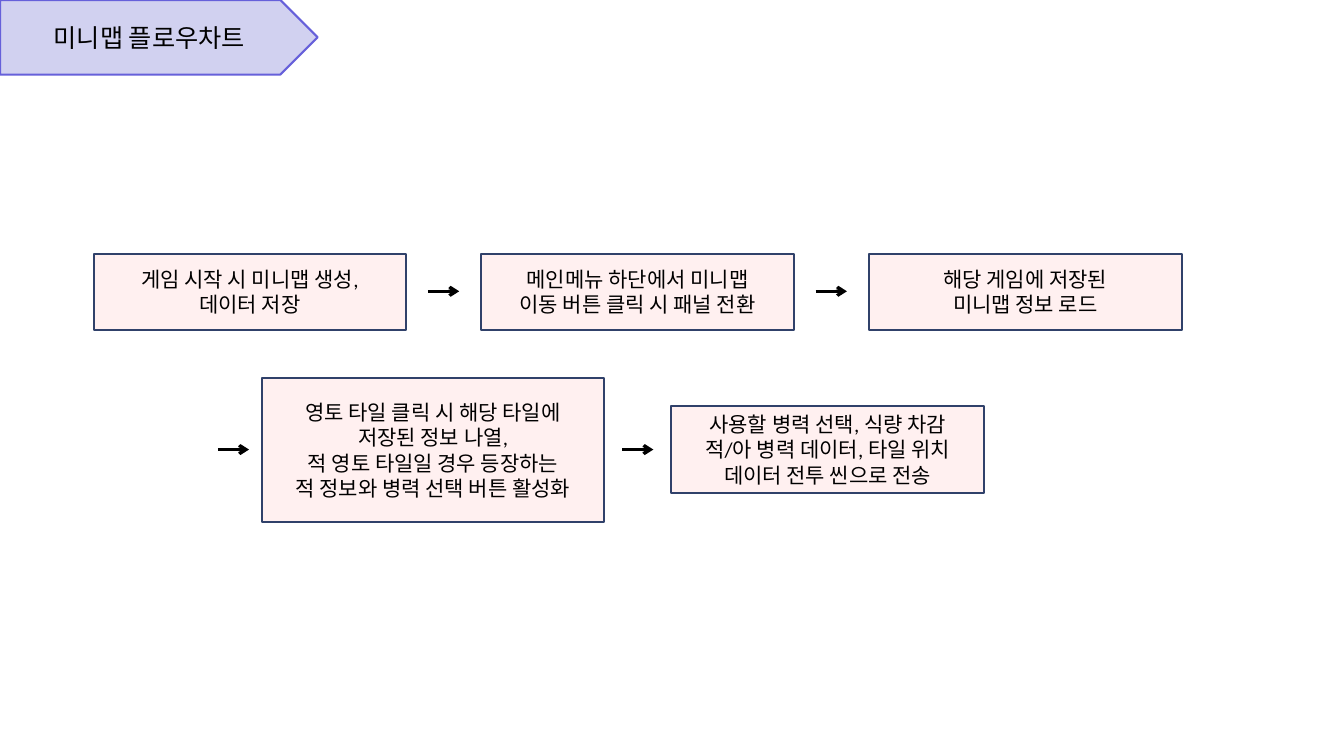
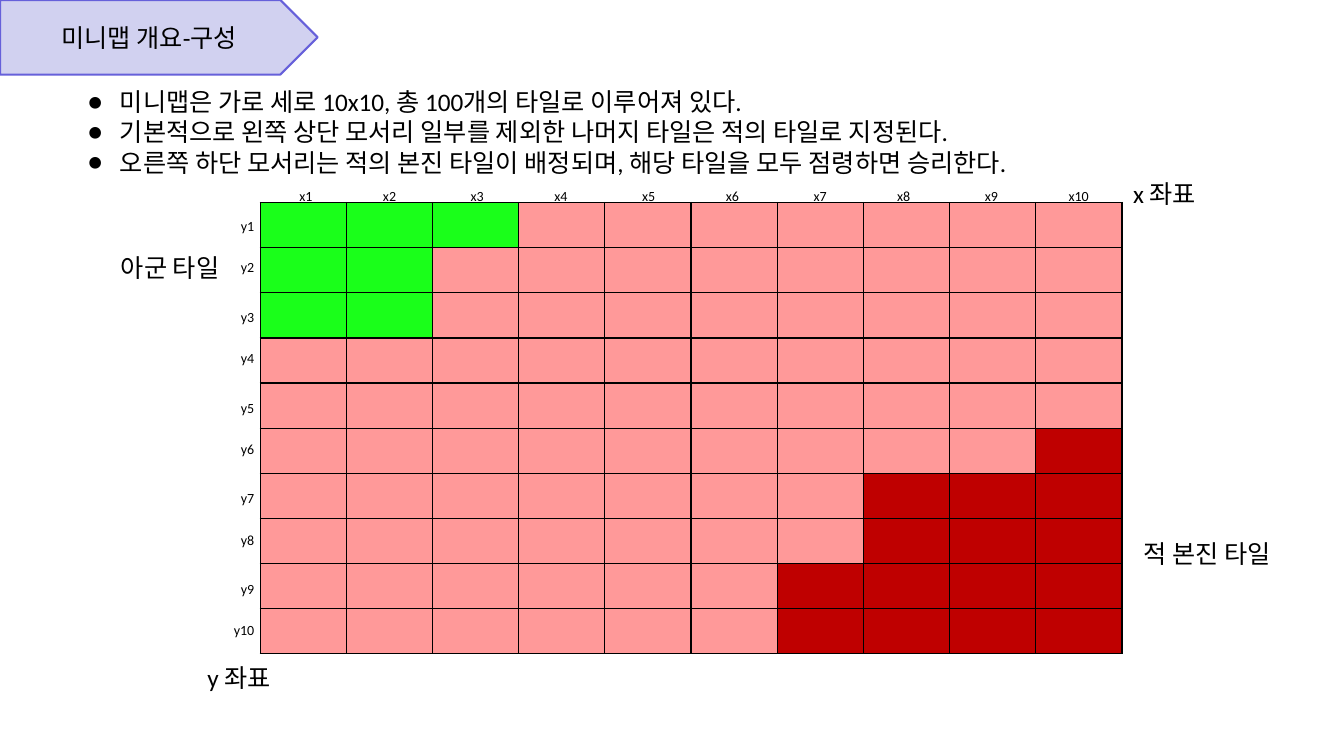
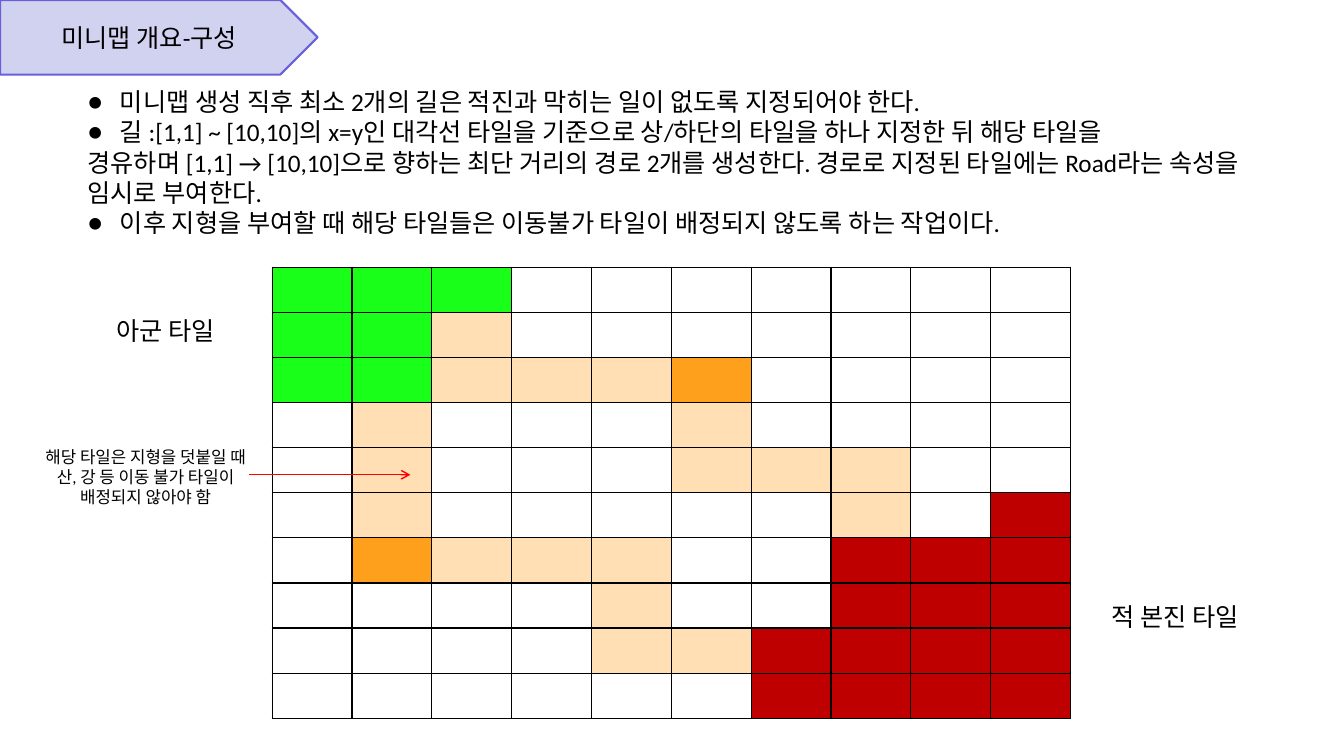
import pptx
import pptx.util
import lxml.etree
from pptx.dml.color import RGBColor
from pptx.enum.shapes import MSO_CONNECTOR, MSO_SHAPE
from pptx.enum.text import MSO_ANCHOR, MSO_AUTO_SIZE, PP_ALIGN
from pptx.oxml.ns import qn
from pptx.util import Inches

FONT = "Calibri"
BLACK = "000000"
BAND_FILL, BAND_LINE = "D1D1F0", "6660DA"
STEP_FILL, STEP_LINE = "FFF0F0", "30416A"
POINTER = "FF0000"
TILE_COLOURS = {
    "A": "1AFF1A",  # ally
    "E": "FF9999",  # enemy
    "B": "BF0000",  # enemy base
    "R": "FFDFB3",  # road
    "W": "FFA01C",  # waypoint
    ".": "FFFFFF",  # unassigned
}

OVERVIEW_TILES = [
    "AAAEEEEEEE",
    "AAEEEEEEEE",
    "AAEEEEEEEE",
    "EEEEEEEEEE",
    "EEEEEEEEEE",
    "EEEEEEEEEB",
    "EEEEEEEBBB",
    "EEEEEEEBBB",
    "EEEEEEBBBB",
    "EEEEEEBBBB",
]
ROAD_TILES = [
    "AAA.......",
    "AAR.......",
    "AARRRW....",
    ".R...R....",
    ".R...RRR..",
    ".R.....R.B",
    ".WRRR..BBB",
    "....R..BBB",
    "....RRBBBB",
    "......BBBB",
]


def rgb(colour):
    return RGBColor.from_string(colour)


def add_child(parent, tag, **attributes):
    return lxml.etree.SubElement(parent, qn(tag), attributes)


def write_lines(text_frame, lines, size, alignment=PP_ALIGN.LEFT):
    text_frame.text = "\n".join(lines)
    for paragraph in text_frame.paragraphs:
        paragraph.alignment = alignment
        for run in paragraph.runs:
            run.font.size = pptx.util.Pt(size)
            run.font.name = FONT
            run.font.color.rgb = rgb(BLACK)


def add_box(slide, preset, left, top, width, height, fill, line):
    shape = slide.shapes.add_shape(
        preset, Inches(left), Inches(top), Inches(width), Inches(height))
    shape.shadow.inherit = False
    shape.fill.solid()
    shape.fill.fore_color.rgb = rgb(fill)
    shape.line.color.rgb = rgb(line)
    shape.line.width = pptx.util.Pt(1.5)
    return shape


def add_titled_slide(presentation, title_text):
    """Add a slide whose title sits on the pentagon band at the top left."""
    slide = presentation.slides.add_slide(presentation.slide_layouts[5])
    band = add_box(slide, MSO_SHAPE.PENTAGON, 0, 0, 3.15, 0.74, BAND_FILL, BAND_LINE)
    title = slide.shapes.title
    title.element.addprevious(band.element)
    title.left, title.top = Inches(0), Inches(0)
    title.width, title.height = Inches(2.96), Inches(0.74)
    text_frame = title.text_frame
    text_frame.auto_size = MSO_AUTO_SIZE.NONE
    text_frame.word_wrap = True
    text_frame.vertical_anchor = MSO_ANCHOR.MIDDLE
    write_lines(text_frame, [title_text], 18, PP_ALIGN.CENTER)
    return slide


def add_step(slide, left, top, width, height, lines):
    step = add_box(slide, MSO_SHAPE.RECTANGLE, left, top, width, height,
                   STEP_FILL, STEP_LINE)
    step.text_frame.word_wrap = True
    step.text_frame.vertical_anchor = MSO_ANCHOR.MIDDLE
    write_lines(step.text_frame, lines, 15, PP_ALIGN.CENTER)


def add_arrow(slide, left, top, length, colour=BLACK, weight=2.25):
    arrow = slide.shapes.add_connector(
        MSO_CONNECTOR.STRAIGHT, Inches(left), Inches(top),
        Inches(left + length), Inches(top))
    arrow.line.color.rgb = rgb(colour)
    arrow.line.width = pptx.util.Pt(weight)
    add_child(arrow.line._get_or_add_ln(), "a:tailEnd", type="arrow")
    add_child(arrow.element.spPr, "a:effectLst")


def add_text(slide, left, top, width, height, lines, size=18,
             alignment=PP_ALIGN.LEFT, wrap=False):
    text_box = slide.shapes.add_textbox(
        Inches(left), Inches(top), Inches(width), Inches(height))
    text_frame = text_box.text_frame
    text_frame.word_wrap = wrap
    text_frame.auto_size = MSO_AUTO_SIZE.SHAPE_TO_FIT_TEXT
    write_lines(text_frame, lines, size, alignment)
    return text_frame


def add_rules(slide, height, lines, unbulleted=()):
    """Add the bulleted rules under the title; listed indexes get no bullet."""
    text_frame = add_text(slide, 0.77, 0.81, 11.82, height, lines, wrap=True)
    for index, paragraph in enumerate(text_frame.paragraphs):
        if index in unbulleted:
            continue
        properties = paragraph._p.get_or_add_pPr()
        indent = Inches(0.32)
        properties.set("marL", str(indent))
        properties.set("indent", str(-indent))
        add_child(properties, "a:buFont", typeface=FONT)
        add_child(properties, "a:buChar", char="●")


def add_cell_borders(cell):
    properties = cell._tc.get_or_add_tcPr()
    for index, side in enumerate(("a:lnL", "a:lnR", "a:lnT", "a:lnB")):
        border = lxml.etree.Element(qn(side), w=str(pptx.util.Pt(1)))
        fill = add_child(border, "a:solidFill")
        add_child(fill, "a:srgbClr", val=BLACK)
        properties.insert(index, border)


def add_tile_map(slide, left, top, width, height, tiles):
    table_frame = slide.shapes.add_table(
        len(tiles), len(tiles[0]), Inches(left), Inches(top),
        Inches(width), Inches(height))
    table = table_frame.table
    table.first_row = False
    table.horz_banding = False
    for column in table.columns:
        column.width = Inches(width / len(tiles[0]))
    for row_index, row in enumerate(tiles):
        table.rows[row_index].height = Inches(height / len(tiles))
        for column_index, tile in enumerate(row):
            cell = table.cell(row_index, column_index)
            cell.fill.solid()
            cell.fill.fore_color.rgb = rgb(TILE_COLOURS[tile])
            add_cell_borders(cell)


def add_coordinates(slide):
    """Number the tile columns and rows; the labels are spaced in pairs."""
    for index in range(10):
        pair, second = divmod(index, 2)
        width = 0.45 if index == 9 else 0.38
        add_text(slide, 2.87 + 1.7 * pair + 0.83 * second, 1.81, width, 0.26,
                 [f"x{index + 1}"], 10)
        add_text(slide, 2.67 - width, 2.11 + 0.9 * pair + 0.41 * second, width, 0.26,
                 [f"y{index + 1}"], 10)


def build_flowchart(presentation):
    slide = add_titled_slide(presentation, "미니맵 플로우차트")
    first_row = [
        ["게임 시작 시 미니맵 생성,", "데이터 저장"],
        ["메인메뉴 하단에서 미니맵", "이동 버튼 클릭 시 패널 전환"],
        ["해당 게임에 저장된", "미니맵 정보 로드"],
    ]
    for index, lines in enumerate(first_row):
        left = 0.93 + 3.845 * index
        add_step(slide, left, 2.52, 3.1, 0.75, lines)
        if index:
            add_arrow(slide, left - 0.53, 2.89, 0.31)
    add_step(slide, 2.6, 3.75, 3.39, 1.43, [
        "영토 타일 클릭 시 해당 타일에",
        "저장된 정보 나열,",
        "적 영토 타일일 경우 등장하는",
        "적 정보와 병력 선택 버튼 활성화",
    ])
    add_step(slide, 6.66, 4.03, 3.1, 0.86, [
        "사용할 병력 선택, 식량 차감",
        "적/아 병력 데이터, 타일 위치",
        "데이터 전투 씬으로 전송",
    ])
    for left in (2.16, 6.17):
        add_arrow(slide, left, 4.46, 0.31)


def build_overview(presentation):
    slide = add_titled_slide(presentation, "미니맵 개요-구성")
    add_rules(slide, 1, [
        "미니맵은 가로 세로 10x10, 총 100개의 타일로 이루어져 있다.",
        "기본적으로 왼쪽 상단 모서리 일부를 제외한 나머지 타일은 적의 타일로 지정된다.",
        "오른쪽 하단 모서리는 적의 본진 타일이 배정되며, 해당 타일을 모두 점령하면 승리한다.",
    ])
    add_tile_map(slide, 2.58, 2.01, 8.55, 4.48, OVERVIEW_TILES)
    add_text(slide, 1.1, 2.45, 1.29, 0.4, ["아군 타일"])
    add_text(slide, 11.24, 5.29, 1.6, 0.4, ["적 본진 타일"])
    add_coordinates(slide)
    add_text(slide, 11.14, 1.72, 0.91, 0.4, ["x 좌표"])
    add_text(slide, 1.96, 6.52, 0.9, 0.4, ["y 좌표"])


def build_roads(presentation):
    slide = add_titled_slide(presentation, "미니맵 개요-구성")
    add_rules(slide, 1.6, [
        "미니맵 생성 직후 최소 2개의 길은 적진과 막히는 일이 없도록 지정되어야 한다.",
        "길 :[1,1] ~ [10,10]의 x=y인 대각선 타일을 기준으로 상/하단의 타일을 하나 지정한 뒤 해당 타일을",
        "경유하며 [1,1] → [10,10]으로 향하는 최단 거리의 경로 2개를 생성한다. "
        "경로로 지정된 타일에는 Road라는 속성을 임시로 부여한다.",
        "이후 지형을 부여할 때 해당 타일들은 이동불가 타일이 배정되지 않도록 하는 작업이다.",
    ], unbulleted=(2,))
    add_tile_map(slide, 2.7, 2.65, 7.92, 4.48, ROAD_TILES)
    add_text(slide, 1.06, 3.08, 1.29, 0.4, ["아군 타일"])
    add_text(slide, 10.93, 5.92, 1.6, 0.4, ["적 본진 타일"])
    add_arrow(slide, 2.47, 4.71, 1.6, POINTER, 1)
    add_text(slide, 0.25, 4.38, 2.39, 0.7, [
        "해당 타일은 지형을 덧붙일 때",
        "산, 강 등 이동 불가 타일이",
        "배정되지 않아야 함",
    ], 12, PP_ALIGN.CENTER)


def main():
    presentation = pptx.Presentation()
    presentation.slide_width = Inches(13.33)
    presentation.slide_height = Inches(7.5)
    build_flowchart(presentation)
    build_overview(presentation)
    build_roads(presentation)
    presentation.save("out.pptx")


if __name__ == "__main__":
    main()
